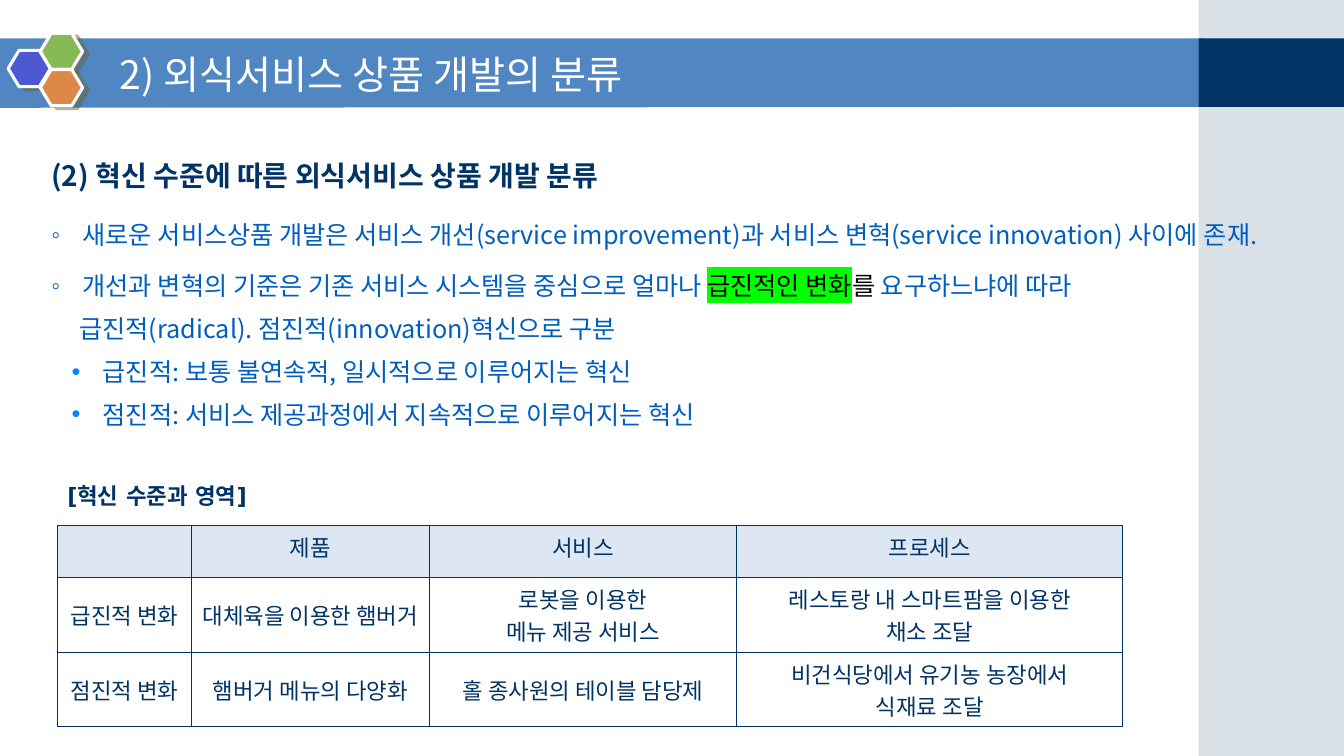
"""Build the slide on classifying food-service product development by innovation level."""
from lxml import etree
from pptx import Presentation
from pptx.dml.color import RGBColor
from pptx.enum import shapes, text
from pptx.oxml import ns
from pptx.util import Pt

NAVY, BLUE, BLACK, WHITE = "003366", "005EC0", "000000", "FFFFFF"
KOREAN = "Noto Sans CJK KR"
color = RGBColor.from_string


def add_element(parent, tag, **attributes):
    element = etree.SubElement(parent, ns.qn(tag))
    for key, value in attributes.items():
        element.set(key, value)
    return element


def add_run(paragraph, words, size, hex_color, bold=False, name=KOREAN):
    run = paragraph.add_run()
    run.text = words
    for key, value in {"size": Pt(size), "bold": bold, "name": name}.items():
        setattr(run.font, key, value)
    run.font.color.rgb = color(hex_color)
    add_element(run.font._element, "a:ea", typeface=name)
    return run


presentation = Presentation()
presentation.slide_width, presentation.slide_height = Pt(960), Pt(540)
slide = presentation.slides.add_slide(presentation.slide_layouts[1])

builder = slide.shapes.build_freeform(Pt(-0.7), Pt(27.4))
builder.add_line_segments([(Pt(859.7), Pt(27.4)), (Pt(859), Pt(76.3)), (Pt(-0.7), Pt(77))])
band = builder.convert_to_shape()
band.fill.solid()
band.fill.fore_color.rgb = color("5086C2")
band.line.fill.background()
band.shadow.inherit = False

for top, height, fill, alpha in [(0, 540, "A0B5C4", "40000"), (27.4, 49, NAVY, "100000")]:
    panel = slide.shapes.add_shape(
        shapes.MSO_SHAPE.RECTANGLE, Pt(856.1), Pt(top), Pt(103.9), Pt(height))
    panel.fill.solid()
    panel.fill.fore_color.rgb = color(fill)
    panel_color = panel._element.spPr.find(".//" + ns.qn("a:srgbClr"))
    add_element(panel_color, "a:alpha", val=alpha)
    panel.line.fill.background()
    panel.shadow.inherit = False

for left, top, fill in [(5.8, 36, "4C59D2"), (28.8, 23.8, "85BA54"), (28.8, 49.7, "DE8848")]:
    hexagon = slide.shapes.add_shape(
        shapes.MSO_SHAPE.HEXAGON, Pt(left), Pt(top), Pt(30.2), Pt(25.9))
    hexagon.adjustments[0] = 0.3
    hexagon.fill.solid()
    hexagon.fill.fore_color.rgb = color(fill)
    hexagon.line.color.rgb = color(WHITE)
    hexagon.line.width = Pt(2.25)
    hexagon.shadow.inherit = False
    effects = hexagon._element.spPr.find(ns.qn("a:effectLst"))
    shadow = add_element(effects, "a:outerShdw", blurRad="0", dist=str(Pt(4.5)),
                         dir="1620000", algn="ctr", rotWithShape="0")
    shadow_color = add_element(shadow, "a:srgbClr", val="666633")
    add_element(shadow_color, "a:alpha", val="50000")

title, body = slide.shapes.title, slide.placeholders[1]
caption = slide.shapes.add_textbox(0, 0, 0, 0)
for shape, box, anchor in [
    (title, (78.5, 30.2, 704.2, 44.6), text.MSO_ANCHOR.MIDDLE),
    (body, (29.5, 109.4, 907.2, 413.3), text.MSO_ANCHOR.TOP),
    (caption, (41, 340.6, 267.8, 26.6), text.MSO_ANCHOR.TOP),
]:
    for key, value in zip(("left", "top", "width", "height"), box):
        setattr(shape, key, Pt(value))
    frame_format = {"word_wrap": True, "auto_size": text.MSO_AUTO_SIZE.NONE,
                    "vertical_anchor": anchor, "margin_right": 0}
    for key, value in frame_format.items():
        setattr(shape.text_frame, key, value)
    slide.shapes._spTree.append(shape._element)

title_paragraph = title.text_frame.paragraphs[0]
title_paragraph.alignment = text.PP_ALIGN.LEFT
add_run(title_paragraph, "2) 외식서비스 상품 개발의 분류", 28, WHITE)
add_run(caption.text_frame.paragraphs[0], "[혁신 수준과 영역]", 16, NAVY, True, "DejaVu Sans")

heading = body.text_frame.paragraphs[0]
heading.space_before, heading.space_after = Pt(0), Pt(11)
heading._p.get_or_add_pPr().set("marL", "0")
heading._p.pPr.set("indent", "0")
add_element(heading._p.pPr, "a:buNone")
add_run(heading, "(2) 혁신 수준에 따른 외식서비스 상품 개발 분류", 20, NAVY, True)

criterion = [
    ("개선과 변혁의 기준은 기존 서비스 시스템을 중심으로 얼마나 ", BLUE, False),
    ("급진적인", BLACK, True), (" ", "FF0000", True), ("변화", BLACK, True),
    ("를 ", BLACK, False), ("요구하느냐에 따라", BLUE, False),
]
items = [
    (0, 22.3, "◦", BLUE, 6, [("새로운 서비스상품 개발은 서비스 개선(service improvement)과 "
                              "서비스 변혁(service innovation) 사이에 존재.", BLUE, False)]),
    (0, 22.3, "◦", BLUE, 0, criterion),
    (0, 20, None, BLUE, 0, [("급진적(radical). 점진적(innovation)혁신으로 구분", BLUE, False)]),
    (1, 36.7, "•", "0A85FF", 0, [("급진적: 보통 불연속적, 일시적으로 이루어지는 혁신", BLUE, False)]),
    (1, 36.7, "•", "0A85FF", 0, [("점진적: 서비스 제공과정에서 지속적으로 이루어지는 혁신", BLUE, False)]),
]
for level, margin, bullet, bullet_color, after, runs in items:
    paragraph = body.text_frame.add_paragraph()
    paragraph_format = {"level": level, "line_spacing": 1.2,
                        "space_before": Pt(4.6), "space_after": Pt(after)}
    for key, value in paragraph_format.items():
        setattr(paragraph, key, value)
    properties = paragraph._p.get_or_add_pPr()
    properties.set("marL", str(Pt(margin)))
    properties.set("indent", str(Pt(-22.3 if bullet else 0)))
    if bullet:
        add_element(add_element(properties, "a:buClr"), "a:srgbClr", val=bullet_color)
        add_element(properties, "a:buChar", char=bullet)
    else:
        add_element(properties, "a:buNone")
    for words, run_color, highlighted in runs:
        run = add_run(paragraph, words, 18, run_color)
        if highlighted:
            highlight = etree.Element(ns.qn("a:highlight"))
            add_element(highlight, "a:srgbClr", val="00FF00")
            run.font._element.find(ns.qn("a:solidFill")).addnext(highlight)

rows = [
    ["", "제품", "서비스", "프로세스"],
    ["급진적 변화", "대체육을 이용한 햄버거", "로봇을 이용한\n메뉴 제공 서비스",
     "레스토랑 내 스마트팜을 이용한\n채소 조달"],
    ["점진적 변화", "햄버거 메뉴의 다양화", "홀 종사원의 테이블 담당제",
     "비건식당에서 유기농 농장에서\n식재료 조달"],
]
table = slide.shapes.add_table(3, 4, Pt(41), Pt(375.1), Pt(761), Pt(141.1)).table
table.first_row = table.horz_banding = False
for column, width in zip(table.columns, (95.8, 169.9, 219.6, 275.8)):
    column.width = Pt(width)
for row, height in zip(table.rows, (37.4, 51.8, 51.8)):
    row.height = Pt(height)
for row_index, row in enumerate(rows):
    for column_index, words in enumerate(row):
        cell = table.cell(row_index, column_index)
        cell.vertical_anchor = text.MSO_ANCHOR.MIDDLE if row_index else text.MSO_ANCHOR.TOP
        for side in ("a:lnL", "a:lnR", "a:lnT", "a:lnB"):
            border = add_element(cell._tc.get_or_add_tcPr(), side, w=str(Pt(1)))
            add_element(add_element(border, "a:solidFill"), "a:srgbClr", val=NAVY)
        if row_index:
            cell.fill.background()
        else:
            cell.fill.solid()
            cell.fill.fore_color.rgb = color("DCE7F3")
        for line_index, line in enumerate(words.split("\n") if words else []):
            frame = cell.text_frame
            paragraph = frame.add_paragraph() if line_index else frame.paragraphs[0]
            paragraph.alignment = text.PP_ALIGN.CENTER
            add_run(paragraph, line, 16, NAVY)

presentation.save("out.pptx")
